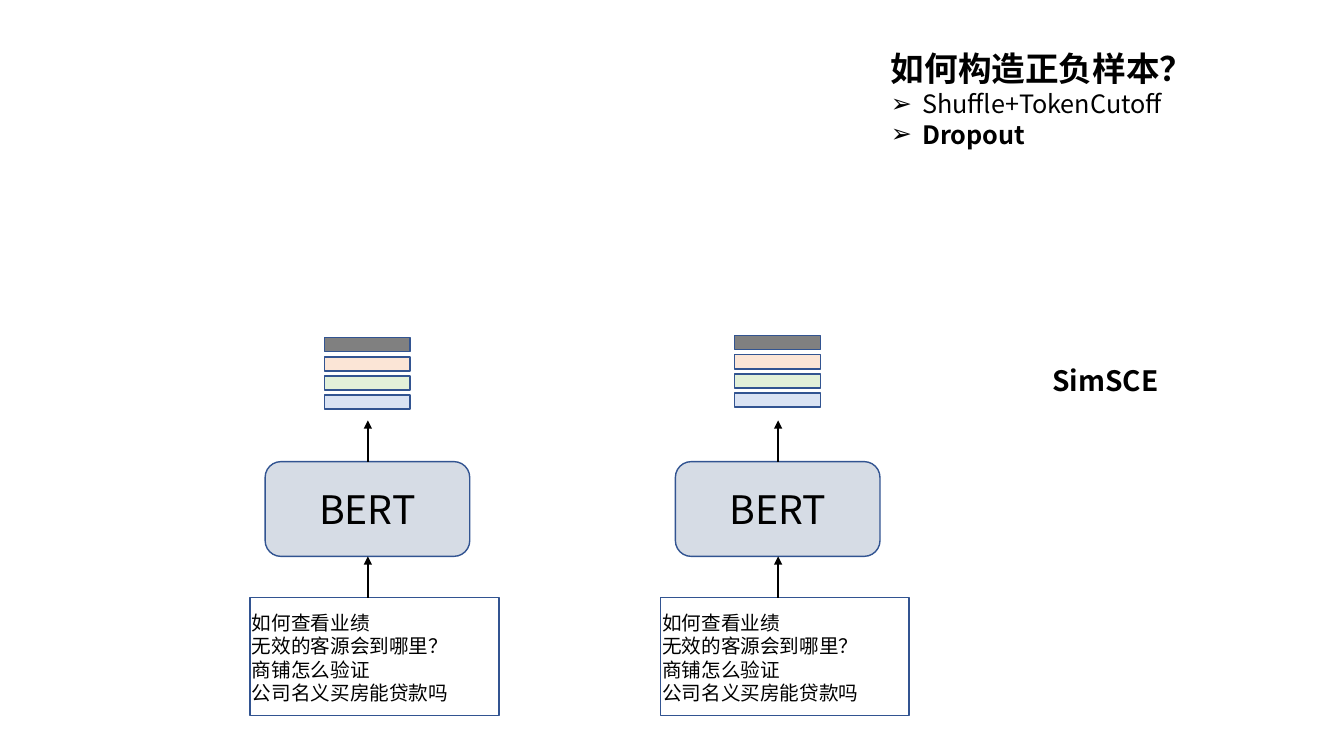
import dataclasses

import pptx
import pptx.dml.color
import pptx.enum.shapes
import pptx.enum.text
import pptx.oxml
import pptx.oxml.ns
import pptx.util

SHAPES = pptx.enum.shapes.MSO_SHAPE
ALIGN = pptx.enum.text.PP_ALIGN
ANCHOR = pptx.enum.text.MSO_ANCHOR


@dataclasses.dataclass(frozen=True)
class Theme:
    font: str = "Noto Sans CJK SC"
    ink: str = "000000"
    outline: str = "325491"
    model: str = "D6DCE5"
    vectors: tuple = ("808080", "FBE5D6", "E2F0D9", "DAE3F3")
    title: int = 24
    bullet: int = 18
    model_name: int = 28
    sentence: int = 14
    method: int = 20
    line: int = 1


@dataclasses.dataclass(frozen=True)
class Box:
    left: float
    top: float
    width: float
    height: float

    def inset(self, column, row, width, height):
        return Box(self.left + column, self.top + row, width, height)


THEME = Theme()
SLIDE_WIDTH, SLIDE_HEIGHT = pptx.util.Inches(13.33), pptx.util.Inches(7.5)
COLUMNS, ROWS = 160, 90
SENTENCES = ("如何查看业绩", "无效的客源会到哪里？", "商铺怎么验证", "公司名义买房能贷款吗")


def across(columns):
    return round(columns * SLIDE_WIDTH / COLUMNS)


def down(rows):
    return round(rows * SLIDE_HEIGHT / ROWS)


def extent(box):
    return across(box.left), down(box.top), across(box.width), down(box.height)


def color(value):
    return pptx.dml.color.RGBColor.from_string(value)


def add_child(parent, tag, **attributes):
    child = parent.makeelement(pptx.oxml.ns.qn(tag), attributes)
    parent.append(child)
    return child


def write(para, text, size, bold=False):
    span = para.add_run()
    span.text = text
    formats = {"name": THEME.font, "size": pptx.util.Pt(size), "bold": bold}
    for name, value in formats.items():
        setattr(span.font, name, value)
    span.font.color.rgb = color(THEME.ink)
    add_child(span.font._element, "a:ea", typeface=THEME.font)


def add_bullet(para):
    indent = pptx.util.Inches(0.31)
    properties = para._p.get_or_add_pPr()
    for name, value in {"marL": indent, "indent": -indent}.items():
        properties.set(name, str(int(value)))
    add_child(properties, "a:buFont", typeface="Arial")
    add_child(properties, "a:buChar", char="➢")


def draw_text(page, box, lines):
    """Write lines of (text, size, bold, bulleted)."""
    frame = page.shapes.add_textbox(*extent(box)).text_frame
    frame.word_wrap = True
    for index, (text, size, bold, bulleted) in enumerate(lines):
        para = frame.add_paragraph() if index else frame.paragraphs[0]
        if bulleted:
            add_bullet(para)
        write(para, text, size, bold)


def draw_block(page, kind, box, fill=None):
    block = page.shapes.add_shape(kind, *extent(box))
    block.shadow.inherit = False
    if fill:
        block.fill.solid()
        block.fill.fore_color.rgb = color(fill)
    else:
        block.fill.background()
    block.line.color.rgb = color(THEME.outline)
    block.line.width = pptx.util.Pt(THEME.line)
    return block


def draw_up_arrow(page, column, row, length):
    arrow = page.shapes.add_connector(
        pptx.enum.shapes.MSO_CONNECTOR.STRAIGHT,
        across(column), down(row), across(column), down(row - length))
    arrow.line.color.rgb = color(THEME.ink)
    arrow.line.width = pptx.util.Pt(THEME.line)
    add_child(arrow.line._get_or_add_ln(), "a:tailEnd", type="triangle")
    add_child(arrow._element.spPr, "a:effectLst")


def draw_vectors(page, box):
    pitch, height = 2.28, 1.68
    for index, fill in enumerate(THEME.vectors):
        bar = box.inset(0, index * pitch, box.width, height)
        draw_block(page, SHAPES.RECTANGLE, bar, fill)


def draw_encoder(page, box, vector_drop):
    """Stack sentences, the model and its output vectors, from the bottom up."""
    model_box = box.inset(2.76, 15, 24.36, 11.28)
    input_box = box.inset(0.96, 31.2, 29.64, 14.04)
    model = draw_block(page, SHAPES.ROUNDED_RECTANGLE, model_box, THEME.model)
    model.text_frame.vertical_anchor = ANCHOR.MIDDLE
    para = model.text_frame.paragraphs[0]
    para.alignment = ALIGN.CENTER
    write(para, "BERT", THEME.model_name)
    draw_block(page, SHAPES.RECTANGLE, input_box)
    draw_text(page, box.inset(0, 32.16, box.width, 12.48),
              [(text, THEME.sentence, False, False) for text in SENTENCES])
    for source in (input_box, model_box):
        draw_up_arrow(page, box.left + 15, source.top, 4.92)
    draw_vectors(page, box.inset(9.84, vector_drop, 10.2, 8.52))


def draw_heading(page, box):
    draw_text(page, box, [
        ("如何构造正负样本？", THEME.title, True, False),
        ("Shuffle+TokenCutoff", THEME.bullet, False, True),
        ("Dropout", THEME.bullet, True, True),
    ])


def main():
    deck = pptx.Presentation()
    deck.slide_width, deck.slide_height = SLIDE_WIDTH, SLIDE_HEIGHT
    page = deck.slides.add_slide(deck.slide_layouts[6])
    draw_heading(page, Box(104.88, 5.16, 50.28, 13.32))
    for index, vector_drop in enumerate((0.24, 0)):
        box = Box(28.8 + index * 48.84, 39.96, 39.48, 45.24)
        draw_encoder(page, box, vector_drop)
    draw_text(page, Box(124.08, 42.72, 21.72, 5.28),
              [("SimSCE", THEME.method, True, False)])
    deck.save("out.pptx")


if __name__ == "__main__":
    main()
